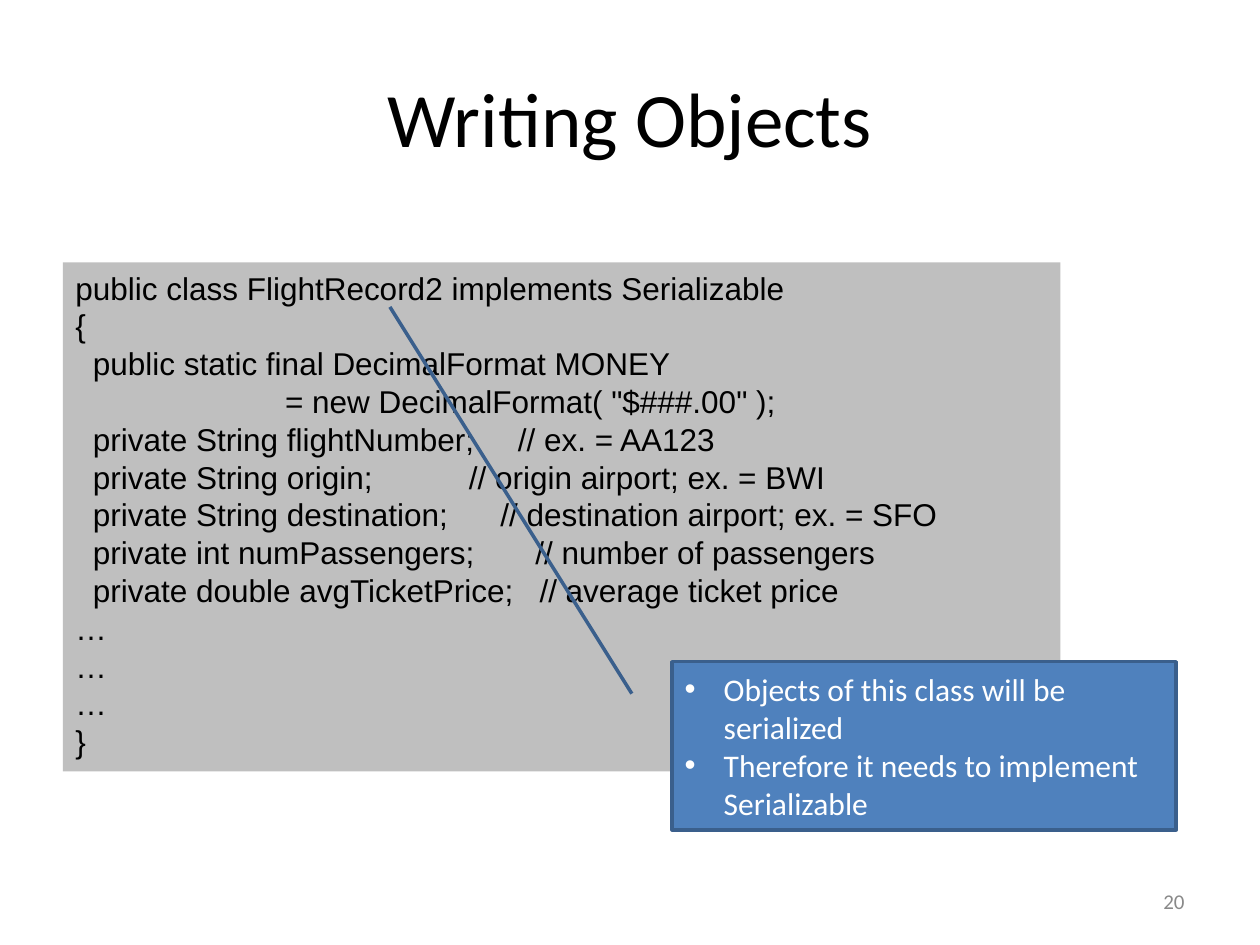
from lxml import etree
from pptx import Presentation
from pptx import util as u
from pptx.dml.color import RGBColor
from pptx.enum import shapes, text
from pptx.oxml.ns import qn

CODE = '''public class FlightRecord2 implements Serializable
{
  public static final DecimalFormat MONEY
                        = new DecimalFormat( "$###.00" );
  private String flightNumber;     // ex. = AA123
  private String origin;           // origin airport; ex. = BWI
  private String destination;      // destination airport; ex. = SFO
  private int numPassengers;       // number of passengers
  private double avgTicketPrice;   // average ticket price
…
…
…
}'''
REMARKS = ["Objects of this class will be serialized",
           "Therefore it needs to implement Serializable"]


def color(hex_string):
    return RGBColor.from_string(hex_string)


def add_bullet(para, indent):
    props = para._p.get_or_add_pPr()
    props.set("marL", str(indent))
    props.set("indent", str(-indent))
    etree.SubElement(props, qn("a:buFont")).set("typeface", "Arial")
    etree.SubElement(props, qn("a:buChar")).set("char", "•")


class SlideBuilder:
    """Holds the style and the current slide."""
    BODY_FONT = "Calibri"
    CODE_FONT = "Arial"
    INK, GREY, WHITE = "000000", "898989", "FFFFFF"
    CODE_FILL, NOTE_FILL, NOTE_LINE = "BFBFBF", "4F81BD", "3A5F8C"

    def __init__(self, deck):
        self.slide = deck.slides.add_slide(deck.slide_layouts[5])

    def add_lines(self, shape, lines, font, size, ink, align, anchor, bullets=False):
        frame = shape.text_frame
        frame.word_wrap = True
        frame.vertical_anchor = anchor
        for index, line in enumerate(lines):
            para = frame.paragraphs[0] if index == 0 else frame.add_paragraph()
            if bullets:
                add_bullet(para, u.Cm(0.79))
            para.alignment = align
            span = para.add_run()
            span.text = line
            span.font.name = font
            span.font.size = u.Pt(size)
            span.font.color.rgb = color(ink)

    def title(self, words, left, top, width, height):
        box = self.slide.shapes.title
        box.left, box.top, box.width, box.height = map(u.Cm, (left, top, width, height))
        self.add_lines(box, [words], self.BODY_FONT, 44, self.INK,
                       text.PP_ALIGN.CENTER, text.MSO_ANCHOR.MIDDLE)

    def page_number(self, number, left, top, width, height):
        box = self.slide.shapes.add_textbox(*map(u.Cm, (left, top, width, height)))
        self.add_lines(box, [str(number)], self.BODY_FONT, 12, self.GREY,
                       text.PP_ALIGN.RIGHT, text.MSO_ANCHOR.MIDDLE)

    def filled_shape(self, kind, place, fill):
        shape = self.slide.shapes.add_shape(kind, *map(u.Cm, place))
        shape.shadow.inherit = False
        shape.fill.solid()
        shape.fill.fore_color.rgb = color(fill)
        return shape

    def code(self, source, *place):
        box = self.filled_shape(shapes.MSO_SHAPE.RECTANGLE, place, self.CODE_FILL)
        box.line.fill.background()
        self.add_lines(box, source.splitlines(), self.CODE_FONT, 18, self.INK,
                       text.PP_ALIGN.LEFT, text.MSO_ANCHOR.TOP)

    def callout(self, lines, pointer, *place):
        """Add a bulleted note; pointer gives y, x of the line's two ends."""
        note = self.filled_shape(shapes.MSO_SHAPE.LINE_CALLOUT_1, place, self.NOTE_FILL)
        for index, value in enumerate(pointer):
            note.adjustments[index] = value
        note.line.color.rgb = color(self.NOTE_LINE)
        note.line.width = u.Pt(2)
        self.add_lines(note, lines, self.BODY_FONT, 18, self.WHITE,
                       text.PP_ALIGN.LEFT, text.MSO_ANCHOR.MIDDLE, bullets=True)


def main():
    deck = Presentation()
    deck.slide_width, deck.slide_height = u.Cm(25.4), u.Cm(19.05)
    page = SlideBuilder(deck)
    page.title("Writing Objects", 1.27, 0.76, 22.86, 3.18)
    page.page_number(20, 18.2, 17.66, 5.93, 1.01)
    page.code(CODE, 1.27, 5.29, 20.11, 10.26)
    page.callout(REMARKS, (0.19, -0.08, -2.11, -0.56), 13.55, 13.34, 10.16, 3.39)
    deck.save("out.pptx")


if __name__ == "__main__":
    main()
